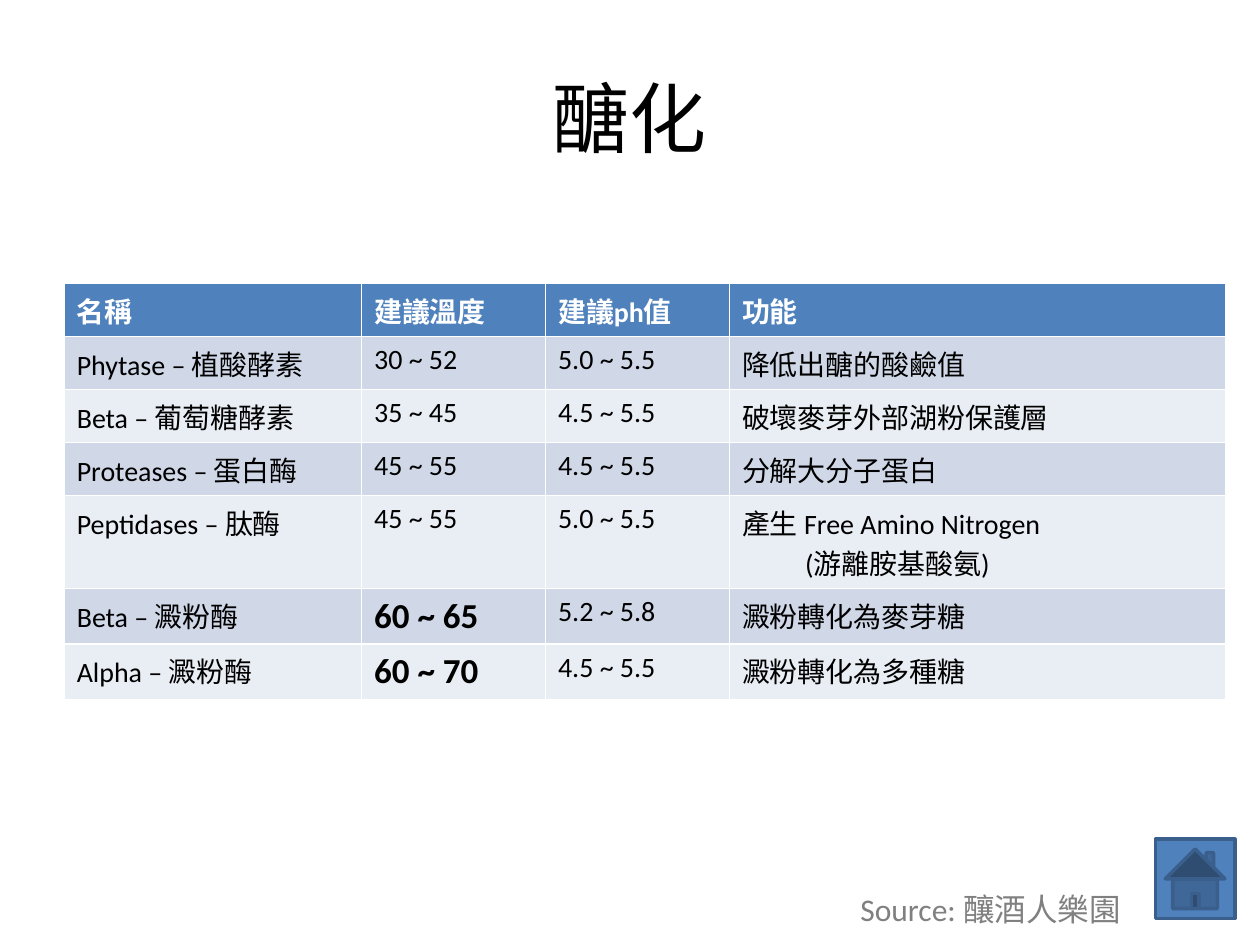
from pptx import Presentation
from pptx.dml.color import RGBColor
from pptx.enum.shapes import MSO_SHAPE
from pptx.enum.text import MSO_ANCHOR, PP_ALIGN
from pptx.util import Inches, Pt

FONT = "Calibri"
BLACK = RGBColor(0x00, 0x00, 0x00)
WHITE = RGBColor(0xFF, 0xFF, 0xFF)
GRAY = RGBColor(0x80, 0x80, 0x80)
BLUE = RGBColor(0x4F, 0x81, 0xBD)
DARK_BLUE = RGBColor(0x3A, 0x5F, 0x8C)
BAND_DARK = RGBColor(0xD0, 0xD8, 0xE8)
BAND_LIGHT = RGBColor(0xE9, 0xED, 0xF4)

COL_WIDTHS = [2.36, 1.46, 1.46, 3.94]
ROW_HEIGHT = 0.41
HEADER = ["名稱", "建議溫度", "建議ph值", "功能"]
ENZYMES = [
    ["Phytase – 植酸酵素", "30 ~ 52", "5.0 ~ 5.5", "降低出醣的酸鹼值"],
    ["Beta – 葡萄糖酵素", "35 ~ 45", "4.5 ~ 5.5", "破壞麥芽外部湖粉保護層"],
    ["Proteases – 蛋白酶", "45 ~ 55", "4.5 ~ 5.5", "分解大分子蛋白"],
    ["Peptidases – 肽酶", "45 ~ 55", "5.0 ~ 5.5", "產生 Free Amino Nitrogen\n(游離胺基酸氨)"],
    ["Beta – 澱粉酶", "60 ~ 65", "5.2 ~ 5.8", "澱粉轉化為麥芽糖"],
    ["Alpha – 澱粉酶", "60 ~ 70", "4.5 ~ 5.5", "澱粉轉化為多種糖"],
]
KEY_TEMPERATURES = {"60 ~ 65", "60 ~ 70"}


def add_run(p, text, size, color, bold=False):
    r = p.add_run()
    r.text = text
    r.font.name = FONT
    r.font.size = Pt(size)
    r.font.bold = bold
    r.font.color.rgb = color


def set_title(s, text):
    sp = s.shapes.title
    sp.left, sp.top = Inches(0.5), Inches(0.3)
    sp.width, sp.height = Inches(9), Inches(1.25)
    tf = sp.text_frame
    tf.vertical_anchor = MSO_ANCHOR.MIDDLE
    p = tf.paragraphs[0]
    p.alignment = PP_ALIGN.CENTER
    add_run(p, text, 44, BLACK)


def fill_cell(cell, text, fill, size, color, bold):
    cell.fill.solid()
    cell.fill.fore_color.rgb = fill
    tf = cell.text_frame
    for i, line in enumerate(text.split("\n")):
        p = tf.add_paragraph() if i else tf.paragraphs[0]
        if i:
            # Continuation lines are indented
            p._p.get_or_add_pPr().set("marL", str(Inches(0.5)))
        add_run(p, line, size, color, bold)


def add_enzyme_table(s):
    rows = [HEADER] + ENZYMES
    table = s.shapes.add_table(
        len(rows), len(HEADER), Inches(0.51), Inches(2.25),
        Inches(sum(COL_WIDTHS)), Inches(ROW_HEIGHT * len(rows))).table
    for col, width in zip(table.columns, COL_WIDTHS):
        col.width = Inches(width)
    for i, row in enumerate(rows):
        table.rows[i].height = Inches(ROW_HEIGHT)
        header = i == 0
        fill = BLUE if header else BAND_DARK if i % 2 else BAND_LIGHT
        for j, text in enumerate(row):
            key = text in KEY_TEMPERATURES
            fill_cell(table.cell(i, j), text, fill, 20 if key else 16,
                      WHITE if header else BLACK, header or key)


def add_source(s, text):
    sp = s.shapes.add_textbox(Inches(6.73), Inches(7.06), Inches(3.15), Inches(0.31))
    tf = sp.text_frame
    tf.word_wrap = True
    tf.vertical_anchor = MSO_ANCHOR.MIDDLE
    add_run(tf.paragraphs[0], text, 18, GRAY)


def add_home_button(s):
    sp = s.shapes.add_shape(MSO_SHAPE.ACTION_BUTTON_HOME, Inches(9.17), Inches(6.66),
                            Inches(0.63), Inches(0.63))
    sp.shadow.inherit = False
    sp.fill.solid()
    sp.fill.fore_color.rgb = BLUE
    sp.line.color.rgb = DARK_BLUE
    sp.line.width = Pt(2)


def main():
    prs = Presentation()
    prs.slide_width, prs.slide_height = Inches(10), Inches(7.5)
    s = prs.slides.add_slide(prs.slide_layouts[5])  # title only
    set_title(s, "醣化")
    add_enzyme_table(s)
    add_source(s, "Source: 釀酒人樂園")
    add_home_button(s)
    prs.save("out.pptx")


if __name__ == "__main__":
    main()
